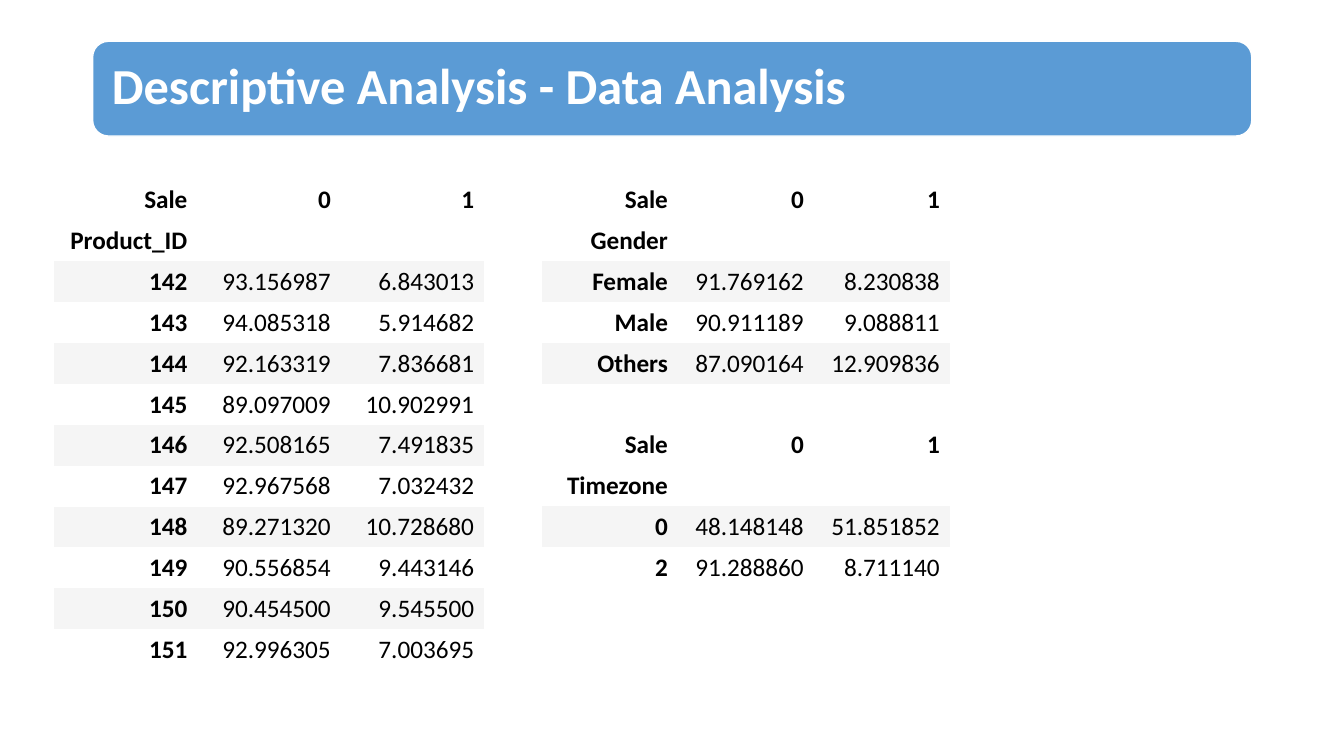
from pptx import Presentation
from pptx.dml.color import RGBColor
from pptx.enum import shapes, text
from pptx.oxml import ns
from pptx.util import Pt

COLORS = {"banner": "5B9BD5", "white": "FFFFFF", "black": "000000", "band": "F5F5F5"}
FONT = "Calibri"
ROW_HEIGHT = 29.1
PLAIN_TABLE_STYLE = "{2D5ABB26-0587-4C30-8999-92F81FD0307C}"

PRODUCT_ROWS = [
    ("142", "93.156987", "6.843013"),
    ("143", "94.085318", "5.914682"),
    ("144", "92.163319", "7.836681"),
    ("145", "89.097009", "10.902991"),
    ("146", "92.508165", "7.491835"),
    ("147", "92.967568", "7.032432"),
    ("148", "89.271320", "10.728680"),
    ("149", "90.556854", "9.443146"),
    ("150", "90.454500", "9.545500"),
    ("151", "92.996305", "7.003695"),
]
GENDER_ROWS = [
    ("Female", "91.769162", "8.230838"),
    ("Male", "90.911189", "9.088811"),
    ("Others", "87.090164", "12.909836"),
]
TIMEZONE_ROWS = [
    ("0", "48.148148", "51.851852"),
    ("2", "91.288860", "8.711140"),
]
# Index name, left, top, column width, data rows
TABLES = [
    ("Product_ID", 38.7, 128.3, 102.4, PRODUCT_ROWS),
    ("Gender", 387.2, 128.3, 97.1, GENDER_ROWS),
    ("Timezone", 387.2, 303.3, 97.1, TIMEZONE_ROWS),
]


def add_run(para, words, size, color, bold):
    run = para.add_run()
    run.text = words
    run.font.name = FONT
    run.font.size = Pt(size)
    run.font.bold = bold
    run.font.color.rgb = RGBColor.from_string(COLORS[color])


deck = Presentation()
deck.slide_width, deck.slide_height = Pt(960), Pt(540)
page = deck.slides.add_slide(deck.slide_layouts[5])

# Title on its banner
banner = page.shapes.add_shape(
    shapes.MSO_SHAPE.ROUNDED_RECTANGLE, Pt(66.2), Pt(29.5), Pt(828), Pt(67.7))
banner.shadow.inherit = False
banner.fill.solid()
banner.fill.fore_color.rgb = RGBColor.from_string(COLORS["banner"])
banner.line.color.rgb = RGBColor.from_string(COLORS["white"])
banner.line.width = Pt(1)

title = page.shapes.title
title.element.addprevious(banner.element)  # banner goes behind the title
title.left, title.top, title.width, title.height = Pt(69.1), Pt(32.4), Pt(821.5), Pt(61.2)
frame = title.text_frame
frame.word_wrap = True
frame.auto_size = text.MSO_AUTO_SIZE.NONE
frame.vertical_anchor = text.MSO_ANCHOR.MIDDLE
frame.margin_left = frame.margin_right = frame.margin_top = frame.margin_bottom = Pt(10.8)
para = frame.paragraphs[0]
para.alignment = text.PP_ALIGN.LEFT
para.line_spacing = 0.9
add_run(para, "Descriptive Analysis - Data Analysis", 36, "white", True)

# Sale share tables: two heading rows, then banded data rows
for index_name, left, top, column_width, data in TABLES:
    rows = [("Sale", "0", "1"), (index_name, "", ""), *data]
    holder = page.shapes.add_table(
        len(rows), 3, Pt(left), Pt(top), Pt(column_width * 3), Pt(ROW_HEIGHT * len(rows)))
    table = holder.table
    table.first_row = table.horz_banding = False
    for style in holder.element.iter(ns.qn("a:tableStyleId")):
        style.text = PLAIN_TABLE_STYLE
    for column in table.columns:
        column.width = Pt(column_width)
    for r, values in enumerate(rows):
        table.rows[r].height = Pt(ROW_HEIGHT)
        for c, value in enumerate(values):
            cell = table.cell(r, c)
            cell.vertical_anchor = text.MSO_ANCHOR.MIDDLE
            if r >= 2 and r % 2 == 0:
                cell.fill.solid()
                cell.fill.fore_color.rgb = RGBColor.from_string(COLORS["band"])
            else:
                cell.fill.background()
            para = cell.text_frame.paragraphs[0]
            para.alignment = text.PP_ALIGN.RIGHT
            if value:
                add_run(para, value, 18, "black", r < 2 or c == 0)

deck.save("out.pptx")
